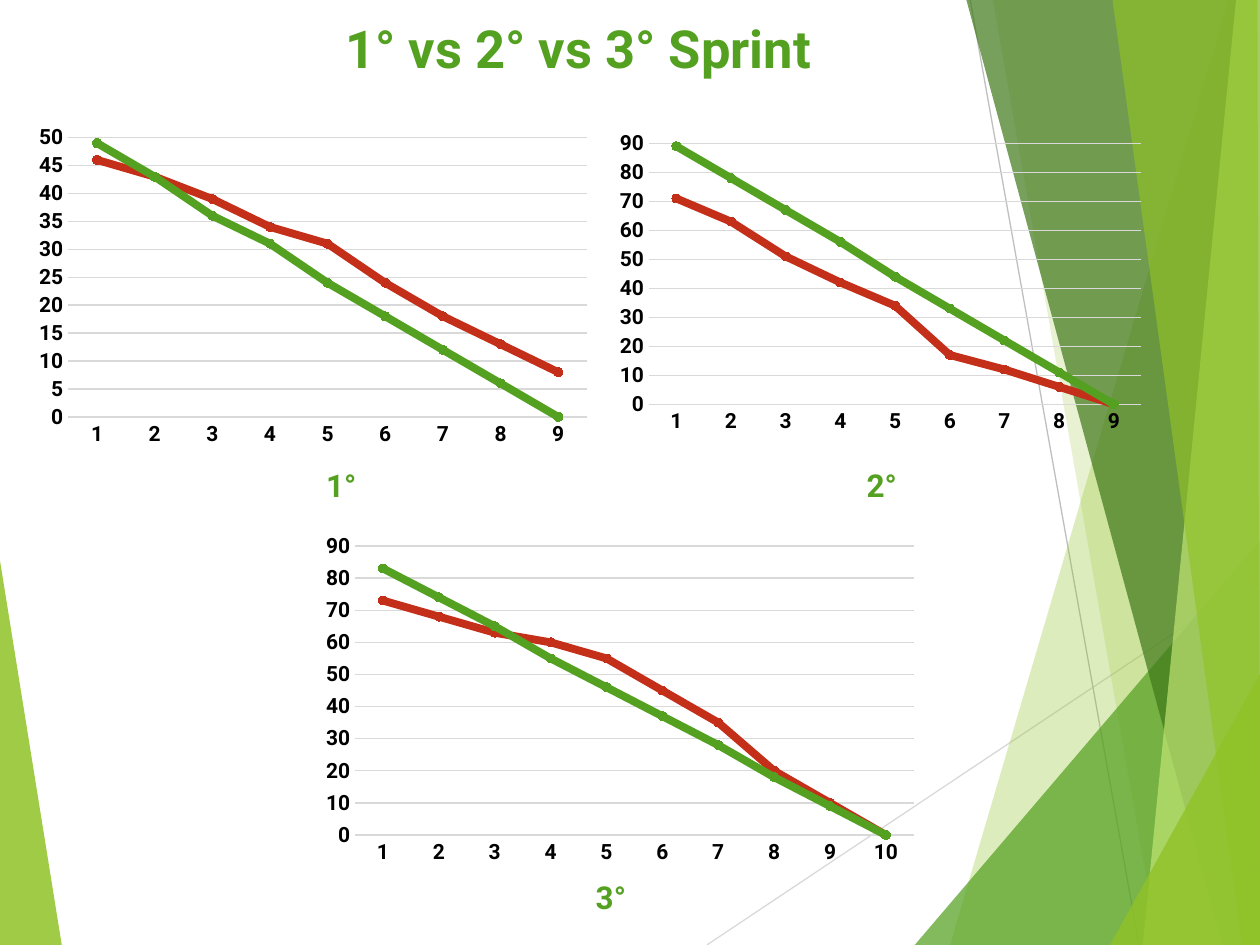
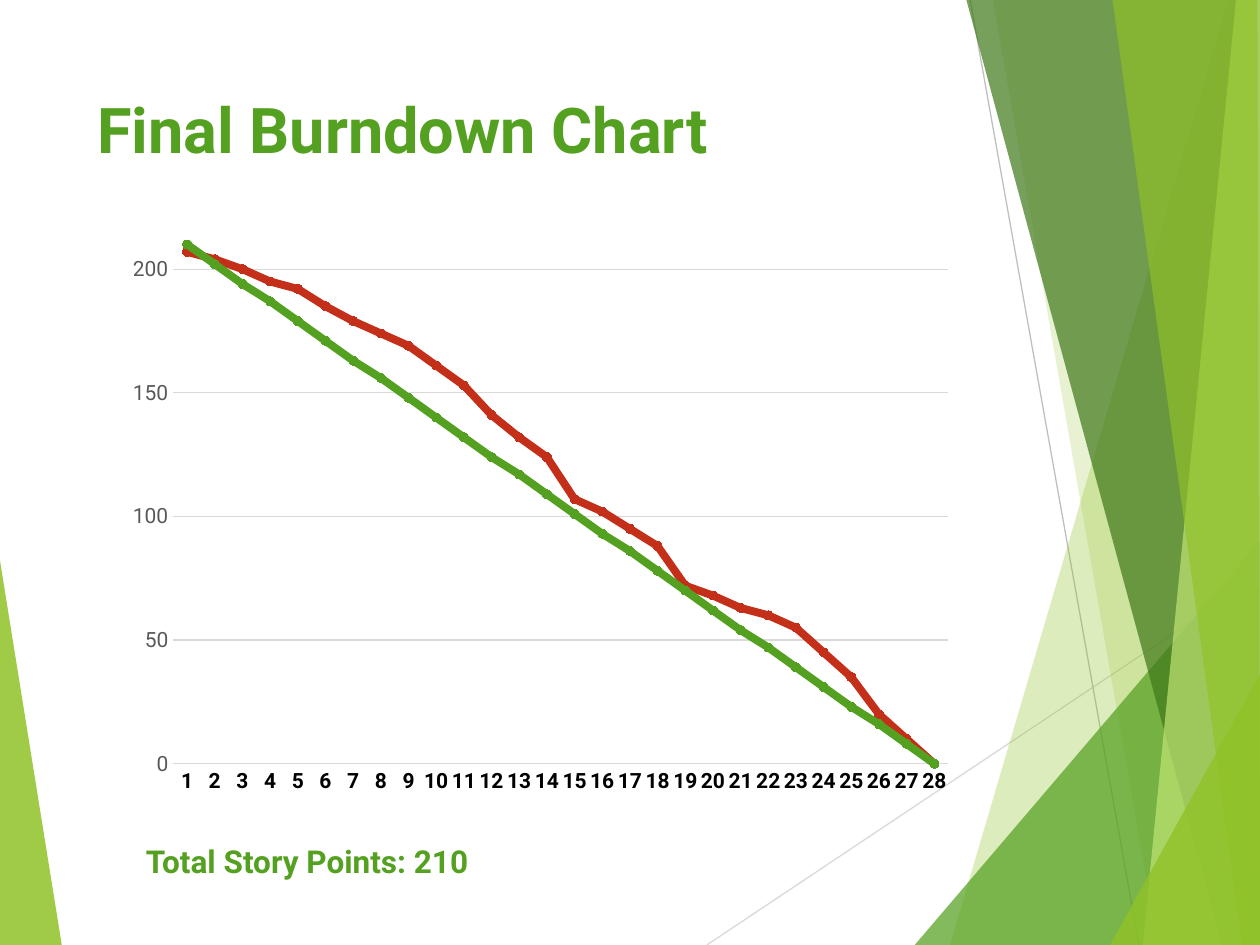
from lxml.etree import SubElement
from pptx import Presentation
from pptx.chart.data import CategoryChartData
from pptx.dml.color import RGBColor
from pptx.enum.chart import XL_CHART_TYPE as ChartType, XL_MARKER_STYLE as Marker, XL_TICK_MARK as Tick
from pptx.enum.shapes import MSO_CONNECTOR as Connector
from pptx.enum.text import MSO_ANCHOR as Anchor, MSO_AUTO_SIZE as AutoSize, PP_ALIGN as Align
from pptx.oxml import parse_xml
from pptx.oxml.ns import nsdecls, qn
from pptx.util import Inches, Pt

FONT = "Roboto"
GREEN = RGBColor(0x54, 0xA0, 0x21)
LIME = RGBColor(0x90, 0xC2, 0x26)
PALE_LIME = RGBColor(0xC0, 0xE4, 0x74)
DARK_GREEN = RGBColor(0x3F, 0x78, 0x19)
MARKER_GREEN = RGBColor(0x00, 0xB0, 0x50)
RED = RGBColor(0xC4, 0x2F, 0x1A)
BLACK = RGBColor(0, 0, 0)
GRAY = RGBColor(0x59, 0x59, 0x59)
LIGHT_GRAY = RGBColor(0xD9, 0xD9, 0xD9)
MID_GRAY = RGBColor(0xBF, 0xBF, 0xBF)


def write(box, text, size=18, color=GREEN, wrap=False, auto_size=AutoSize.SHAPE_TO_FIT_TEXT):
    frame = box.text_frame
    frame.word_wrap = wrap
    frame.auto_size = auto_size
    frame.vertical_anchor = Anchor.TOP
    para = frame.paragraphs[0]
    para.alignment = Align.LEFT
    span = para.add_run()
    span.text = text
    span.font.name, span.font.size, span.font.bold = FONT, Pt(size), True
    span.font.color.rgb = color


def add_burndown(page, place, actual, ideal, top, step, value_color=BLACK, value_bold=True):
    data = CategoryChartData()
    data.categories = [str(day) for day in range(1, len(actual) + 1)]
    data.add_series("Series 1", actual)
    data.add_series("Series 2", ideal)
    chart = page.shapes.add_chart(ChartType.LINE_MARKERS, *map(Inches, place), data).chart
    chart.has_legend = chart.has_title = False
    chart.font.name, chart.font.size = FONT, Pt(10)
    chart.font.color.rgb = BLACK
    chart.plots[0].vary_by_categories = False

    days, points = chart.category_axis, chart.value_axis
    for axis, color, bold in ((days, BLACK, True), (points, value_color, value_bold)):
        axis.major_tick_mark = axis.minor_tick_mark = Tick.NONE
        font = axis.tick_labels.font
        font.name, font.size, font.bold = FONT, Pt(12), bold
        font.color.rgb = color
    points.minimum_scale, points.maximum_scale, points.major_unit = 0, top, step
    points.has_major_gridlines = True
    points.format.line.fill.background()
    for line in (days.format.line, points.major_gridlines.format.line):
        line.color.rgb = LIGHT_GRAY
        line.width = Pt(0.75)

    for series, color, marker_color in zip(chart.plots[0].series, (RED, GREEN), (RED, MARKER_GREEN)):
        series.smooth = False
        series.format.line.color.rgb = color
        series.format.line.width = Pt(4.5)
        series.marker.style, series.marker.size = Marker.CIRCLE, 5
        series.marker.format.fill.solid()
        series.marker.format.fill.fore_color.rgb = marker_color
        series.marker.format.line.color.rgb = marker_color
    return chart


deck = Presentation()
deck.slide_width, deck.slide_height = Inches(10), Inches(7.5)
layout = deck.slide_layouts[5]
for holder in list(layout.placeholders)[1:]:
    layout.shapes.element.remove(holder.element)
sprint_page = deck.slides.add_slide(layout)
final_page = deck.slides.add_slide(layout)

rays = [
    ((5.61, 7.5), (10, 4.57), LIGHT_GRAY),
    ((7.7, 0), (9.04, 7.5), MID_GRAY),
]
facets = [
    ([(0, 4.45), (0.49, 7.5), (0, 7.5)], LIME, 85),
    ([(9.75, 0), (7.54, 7.5), (10, 7.5), (10, 0)], LIME, 30),
    ([(7.88, 0), (9.19, 7.5), (10, 7.5), (10, 0)], LIME, 20),
    ([(7.26, 7.5), (10, 4.29), (10, 7.5)], GREEN, 72),
    ([(7.67, 0), (9.7, 7.5), (10, 7.5), (10, 0)], DARK_GREEN, 70),
    ([(9.81, 0), (9.07, 7.5), (10, 7.5), (10, 0)], PALE_LIME, 70),
    ([(8.83, 0), (9.86, 7.5), (10, 7.5), (9.98, 0)], LIME, 65),
    ([(8.81, 7.5), (10, 5.35), (10, 7.5)], LIME, 80),
]
for start, end, color in rays:
    ray = sprint_page.shapes.add_connector(Connector.STRAIGHT, *map(Inches, start + end))
    ray.line.color.rgb = color
    ray.line.width = Pt(0.75)
    SubElement(ray.element.spPr, qn("a:effectLst"))
    layout.shapes.element.append(ray.element)
for corners, color, opacity in facets:
    outline = [(Inches(x), Inches(y)) for x, y in corners]
    builder = sprint_page.shapes.build_freeform(*outline[0])
    builder.add_line_segments(outline[1:], close=True)
    facet = builder.convert_to_shape()
    facet.fill.solid()
    facet.fill.fore_color.rgb = color
    tint = facet.element.spPr.find(".//" + qn("a:srgbClr"))
    SubElement(tint, qn("a:alpha")).set("val", str(opacity * 1000))
    facet.line.fill.background()
    facet.shadow.inherit = False
    layout.shapes.element.append(facet.element)

titles = [
    (sprint_page, "1° vs 2° vs 3° Sprint", 30, (2.64, 0.08, 6.3, 0.68)),
    (final_page, "Final Burndown Chart", 36, (0.67, 0.67, 6.94, 1.44)),
]
for page, text, size, place in titles:
    title = page.shapes.title
    title.left, title.top, title.width, title.height = map(Inches, place)
    write(title, text, size=size, wrap=True, auto_size=AutoSize.NONE)

second_chart = add_burndown(
    sprint_page, (4.84, 1.04, 4.44, 2.61),
    [71, 63, 51, 42, 34, 17, 12, 6, 0],
    [89, 78, 67, 56, 44, 33, 22, 11, 0], 90, 10)
add_burndown(
    sprint_page, (0.22, 0.94, 4.53, 2.66),
    [46, 43, 39, 34, 31, 24, 18, 13, 8],
    [49, 43, 36, 31, 24, 18, 12, 6, 0], 50, 5)
add_burndown(
    sprint_page, (2.49, 4.18, 4.86, 2.74),
    [73, 68, 63, 60, 55, 45, 35, 20, 10, 0],
    [83, 74, 65, 55, 46, 37, 28, 18, 9, 0], 90, 10)
add_burndown(
    final_page, (0.92, 1.85, 6.74, 4.54),
    [207, 204, 200, 195, 192, 185, 179, 174, 169, 161, 153, 141, 132, 124,
     107, 102, 95, 88, 72, 68, 63, 60, 55, 45, 35, 20, 10, 0],
    [round(210 * left / 27) for left in range(27, -1, -1)],
    210, 50, value_color=GRAY, value_bold=False)

plot_area = second_chart.element.find(".//" + qn("c:plotArea"))
for old_layout in plot_area.findall(qn("c:layout")):
    plot_area.remove(old_layout)
plot_area.insert(0, parse_xml(
    f'<c:layout {nsdecls("c")}><c:manualLayout><c:layoutTarget val="inner"/>'
    '<c:xMode val="edge"/><c:yMode val="edge"/><c:x val="0.07"/><c:y val="0.03"/>'
    '<c:w val="0.88"/><c:h val="0.8"/></c:manualLayout></c:layout>'))

captions = [
    (sprint_page, "1°", 2.49, 3.65, 0.57),
    (sprint_page, "2°", 6.78, 3.65, 0.57),
    (sprint_page, "3°", 4.63, 6.92, 0.57),
    (final_page, "Total Story Points: 210", 1.06, 6.63, 2.86),
]
for page, text, left, top, width in captions:
    write(page.shapes.add_textbox(*map(Inches, (left, top, width, 0.4))), text)

deck.save("out.pptx")
